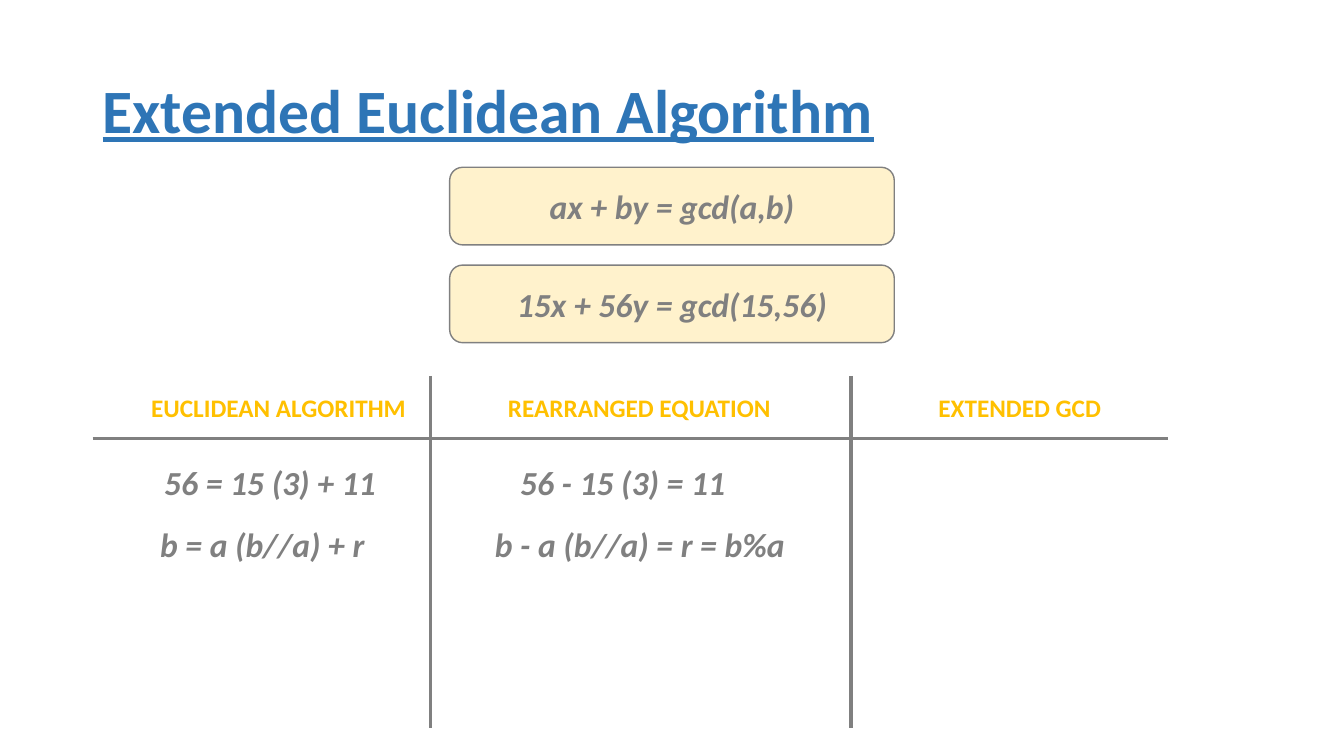
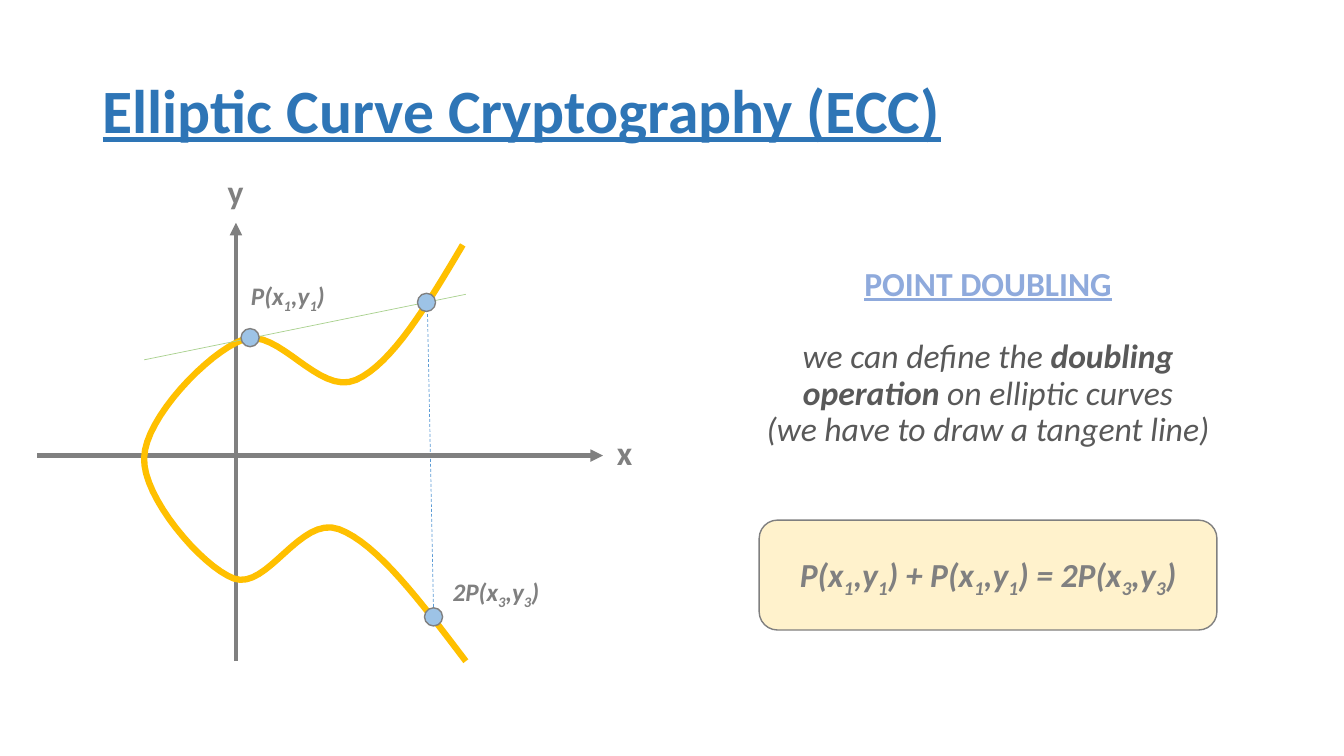
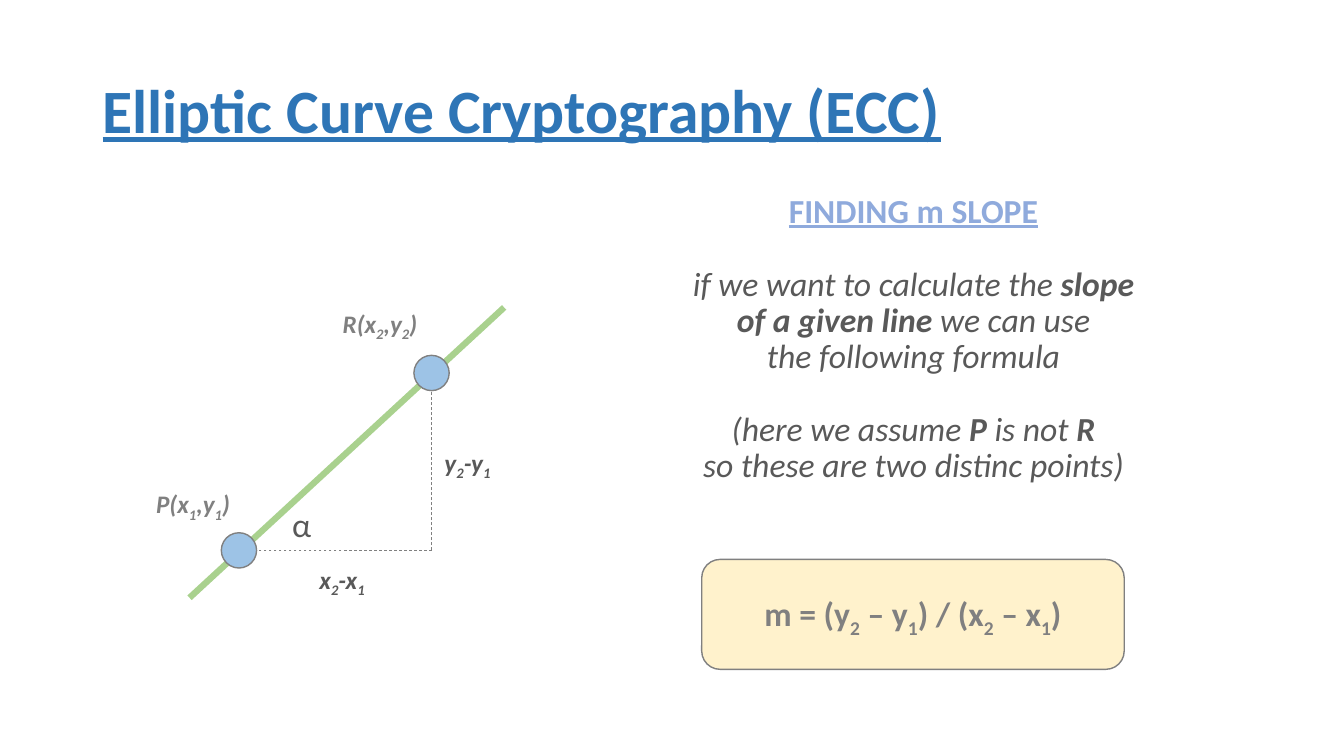
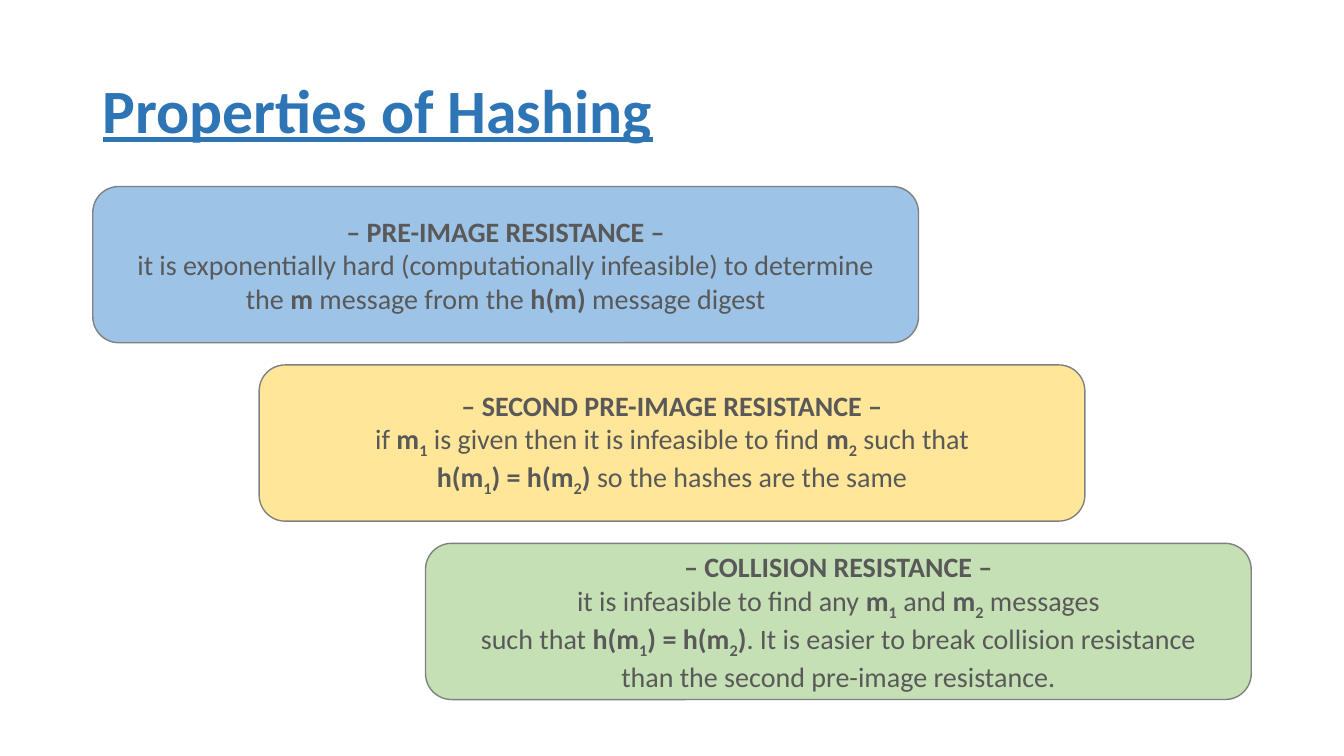
from pptx import Presentation
from pptx import util as u
from pptx.dml.color import RGBColor
from pptx.enum import dml, shapes, text
from lxml import etree

# Grid: square cells of one inch, 13.33 columns by 7.5 rows
CELL = u.Inches(1)
COLS, ROWS = 13.33, 7.5
LEFT = 0.92
FACE = "Calibri"
BLUE, PALE, SKY = "2E75B6", "8FAADC", "9DC3E6"
GOLD, CREAM, SAND = "FFC000", "FFF2CC", "FFE699"
GRAY, DARK = "808080", "595959"
GREEN, MINT, AZURE = "A9D18E", "C5E0B4", "5B9BD5"
MID = text.PP_ALIGN.CENTER
BASE = text.PP_ALIGN.LEFT
GAP = 26
ECC = "Elliptic Curve Cryptography (ECC)"


def grid(*cells):
    return [int(n * CELL) for n in cells]


def color(code):
    return RGBColor.from_string(code)


def fill_runs(para, line, bold):
    """Text between stars is bold; the sign after _ is a subscript."""
    for n, chunk in enumerate(line.split("*")):
        for k, part in enumerate(chunk.split("_")):
            pieces = [(part[:1], True), (part[1:], False)] if k else [(part, False)]
            for words, sub in pieces:
                if not words:
                    continue
                run = para.add_run()
                run.text = words
                if n % 2 and not bold:
                    run.font.bold = True
                if sub:
                    run.font._element.set("baseline", "-25000")


def write(frame, lines, size, hue, bold=False, italic=False, under=False,
          align=MID, lead=None, gap=0, fresh=True):
    """Add lines to a frame; gap is the space before the first one."""
    for n, line in enumerate(lines):
        para = frame.paragraphs[0] if fresh and n == 0 else frame.add_paragraph()
        para.alignment = align
        if lead:
            para.line_spacing = lead
        if gap and n == 0:
            para.space_before = u.Pt(gap)
        font = para.font
        font.name, font.size, font.color.rgb = FACE, u.Pt(size), color(hue)
        font.bold, font.italic, font.underline = bold, italic, under
        fill_runs(para, line, bold)


def label(slide, x, y, width, words, size=18, hue=GRAY, bold=True, italic=True):
    box = slide.shapes.add_textbox(*grid(x, y, width, size / 60 + 0.1))
    box.text_frame.word_wrap = False
    write(box.text_frame, [words], size, hue, bold, italic, align=BASE)


def prose(slide, x, y, width, height, head, *blocks):
    """Underlined heading, then blocks of italic lines set apart by a gap."""
    box = slide.shapes.add_textbox(*grid(x, y, width, height))
    frame = box.text_frame
    frame.word_wrap = False
    write(frame, [head], 24, PALE, bold=True, under=True, lead=0.9)
    for lines in blocks:
        write(frame, lines, 24, DARK, italic=True, lead=0.9, gap=GAP, fresh=False)


def shape(slide, kind, x, y, width, height, hue):
    item = slide.shapes.add_shape(kind, *grid(x, y, width, height))
    item.shadow.inherit = False
    item.fill.solid()
    item.fill.fore_color.rgb = color(hue)
    item.line.color.rgb = color(GRAY)
    item.line.width = u.Pt(1)
    return item


def panel(slide, x, y, width, height, hue=CREAM):
    item = shape(slide, shapes.MSO_SHAPE.ROUNDED_RECTANGLE, x, y, width, height, hue)
    frame = item.text_frame
    frame.word_wrap = True
    frame.vertical_anchor = text.MSO_ANCHOR.MIDDLE
    return frame


def dot(slide, x, y, size):
    """Point marker centred on x, y."""
    half = size / 2
    shape(slide, shapes.MSO_SHAPE.OVAL, x - half, y - half, size, size, SKY)


def rule(slide, start, end, hue=GRAY, width=2.25, dash=False, arrow=False):
    line = slide.shapes.add_connector(shapes.MSO_CONNECTOR.STRAIGHT, *grid(*start, *end))
    line.line.color.rgb = color(hue)
    line.line.width = u.Pt(width)
    if dash:
        line.line.dash_style = dml.MSO_LINE.DASH
    props = line._element.spPr
    space = "{http://schemas.openxmlformats.org/drawingml/2006/main}"
    if arrow:
        etree.SubElement(props.find(space + "ln"), space + "tailEnd", type="triangle")
    etree.SubElement(props, space + "effectLst")


def curve(slide, start, arcs, hue, width, steps=16):
    """Smooth open line through cubic arcs (two controls and an end each)."""
    points, last = [], start
    for arc in arcs:
        knots = (last, *arc)
        for n in range(1, steps + 1):
            t = n / steps
            parts = ((1 - t) ** 3, 3 * t * (1 - t) ** 2, 3 * t * t * (1 - t), t ** 3)
            points.append(grid(*(sum(p * k[axis] for p, k in zip(parts, knots))
                                 for axis in (0, 1))))
        last = arc[-1]
    path = slide.shapes.build_freeform(*grid(*start), scale=1.0)
    path.add_line_segments(points, close=False)
    item = path.convert_to_shape()
    item.shadow.inherit = False
    item.fill.background()
    item.line.color.rgb = color(hue)
    item.line.width = u.Pt(width)


def new_slide(deck, title):
    slide = deck.slides.add_slide(deck.slide_layouts[6])
    frame = slide.shapes.add_textbox(*grid(LEFT, 0.4, 11.5, 1.45)).text_frame
    frame.word_wrap = True
    frame.vertical_anchor = text.MSO_ANCHOR.MIDDLE
    write(frame, [title], 44, BLUE, bold=True, under=True, align=BASE, lead=0.9)
    return slide


def euclid(deck):
    slide = new_slide(deck, "Extended Euclidean Algorithm")
    rule(slide, (LEFT, 4.35), (11.58, 4.35))
    for x in (4.27, 8.44):
        rule(slide, (x, 3.73), (x, 7.22))
    for n, words in enumerate(("ax + by = gcd(a,b)", "15x + 56y = gcd(15,56)")):
        frame = panel(slide, 4.46, 1.66 + 0.97 * n, 4.41, 0.77)
        write(frame, [words], 24, GRAY, bold=True, italic=True)
    for x, width, words in ((1.4, 2.75, "EUCLIDEAN ALGORITHM"),
                            (4.94, 2.83, "REARRANGED EQUATION"),
                            (9.21, 1.83, "EXTENDED GCD")):
        label(slide, x, 3.84, width, words, hue=GOLD, italic=False)
    for x, y, width, words in ((1.53, 4.53, 2.32, "56 = 15 (3) + 11"),
                               (5.06, 4.53, 2.25, "56 - 15 (3) = 11"),
                               (1.49, 5.15, 2.24, "b = a (b//a) + r"),
                               (4.81, 5.15, 3.1, "b - a (b//a) = r = b%a")):
        label(slide, x, y, width, words, size=24)


def doubling(deck):
    slide = new_slide(deck, ECC)
    rule(slide, (4.3, 6.07), (4.24, 3.09), AZURE, 0.5, dash=True)
    rule(slide, (0.37, 4.52), (5.98, 4.52), width=3, arrow=True)
    rule(slide, (2.34, 6.56), (2.34, 2.21), width=3, arrow=True)
    curve(slide, (4.59, 2.43), (
        ((4.24, 3.02), (3.89, 3.61), (3.53, 3.77)),
        ((3.16, 3.93), (2.76, 3.24), (2.41, 3.37)),
        ((2.06, 3.5), (1.44, 4.15), (1.43, 4.54)),
        ((1.41, 4.93), (2, 5.62), (2.32, 5.74)),
        ((2.65, 5.86), (2.98, 5.11), (3.36, 5.25)),
        ((3.74, 5.39), (4.18, 5.98), (4.62, 6.56))), GOLD, 4.5)
    prose(slide, 7.48, 2.6, 4.64, 2.65, "POINT DOUBLING",
          ("we can define the *doubling*",
           "*operation *on elliptic curves",
           "(we have to draw a tangent line)"))
    for x, y, words in ((6.02, 4.24, "x"), (2.16, 1.65, "y")):
        label(slide, x, y, 0.36, words, size=24, italic=False)
    frame = panel(slide, 7.53, 5.16, 4.54, 1.09)
    write(frame, ["P(x_1,y_1) + P(x_1,y_1) = 2P(x_3,y_3)"], 24, GRAY,
          bold=True, italic=True, lead=0.9)
    rule(slide, (1.43, 3.57), (4.62, 2.92), GREEN, 0.5)
    for x, y in ((2.48, 3.35), (4.3, 6.12), (4.23, 3)):
        dot(slide, x, y, 0.18)
    label(slide, 4.39, 5.67, 1.09, "2P(x_3,y_3)")
    label(slide, 2.39, 2.73, 0.97, "P(x_1,y_1)")


def slope(deck):
    slide = new_slide(deck, ECC)
    rule(slide, (1.88, 5.93), (5, 3.05), GREEN, 4.5)
    label(slide, 1.45, 4.8, 0.97, "P(x_1,y_1)")
    label(slide, 3.3, 3.01, 0.97, "R(x_2,y_2)")
    prose(slide, 6.75, 1.88, 4.62, 4.1, "FINDING m SLOPE",
          ("if we want to calculate the *slope*",
           "*of a given line *we can use",
           "the following formula"),
          ("(here we assume *P *is not *R*",
           "so these are two distinc points)"))
    frame = panel(slide, 6.96, 5.55, 4.19, 1.09)
    write(frame, ["m = (y_2 – y_1) / (x_2 – x_1)"], 24, GRAY, bold=True, lead=0.9)
    for end in ((4.28, 3.72), (2.42, 5.46)):
        rule(slide, (4.28, 5.46), end, width=0.5, dash=True)
    for x, y in ((2.37, 5.46), (4.28, 3.7)):
        dot(slide, x, y, 0.35)
    label(slide, 4.31, 4.39, 0.69, "y_2-y_1", hue=DARK)
    label(slide, 3.07, 5.55, 0.68, "x_2-x_1", hue=DARK)
    label(slide, 2.8, 4.95, 0.39, "α", 24, DARK, bold=False, italic=False)


def hashing(deck):
    slide = new_slide(deck, "Properties of Hashing")
    cards = (
        (SKY, "PRE-IMAGE RESISTANCE",
         "it is exponentially hard (computationally infeasible) to determine",
         "the *m* message from the *h(m)* message digest"),
        (SAND, "SECOND PRE-IMAGE RESISTANCE",
         "if *m_1* is given then it is infeasible to find *m_2* such that",
         "*h(m_1) = h(m_2)* so the hashes are the same"),
        (MINT, "COLLISION RESISTANCE",
         "it is infeasible to find any *m_1* and *m_2* messages",
         "such that *h(m_1) = h(m_2)*. It is easier to break collision resistance",
         "than the second pre-image resistance."))
    for n, (hue, head, *lines) in enumerate(cards):
        frame = panel(slide, LEFT + 1.65 * n, 1.85 + 1.77 * n, 8.19, 1.55, hue)
        write(frame, [f"– {head} –"], 20, DARK, bold=True)
        write(frame, lines, 20, DARK, fresh=False)


def main():
    deck = Presentation()
    deck.slide_width, deck.slide_height = grid(COLS, ROWS)
    for build in (euclid, doubling, slope, hashing):
        build(deck)
    deck.save("out.pptx")


if __name__ == "__main__":
    main()
